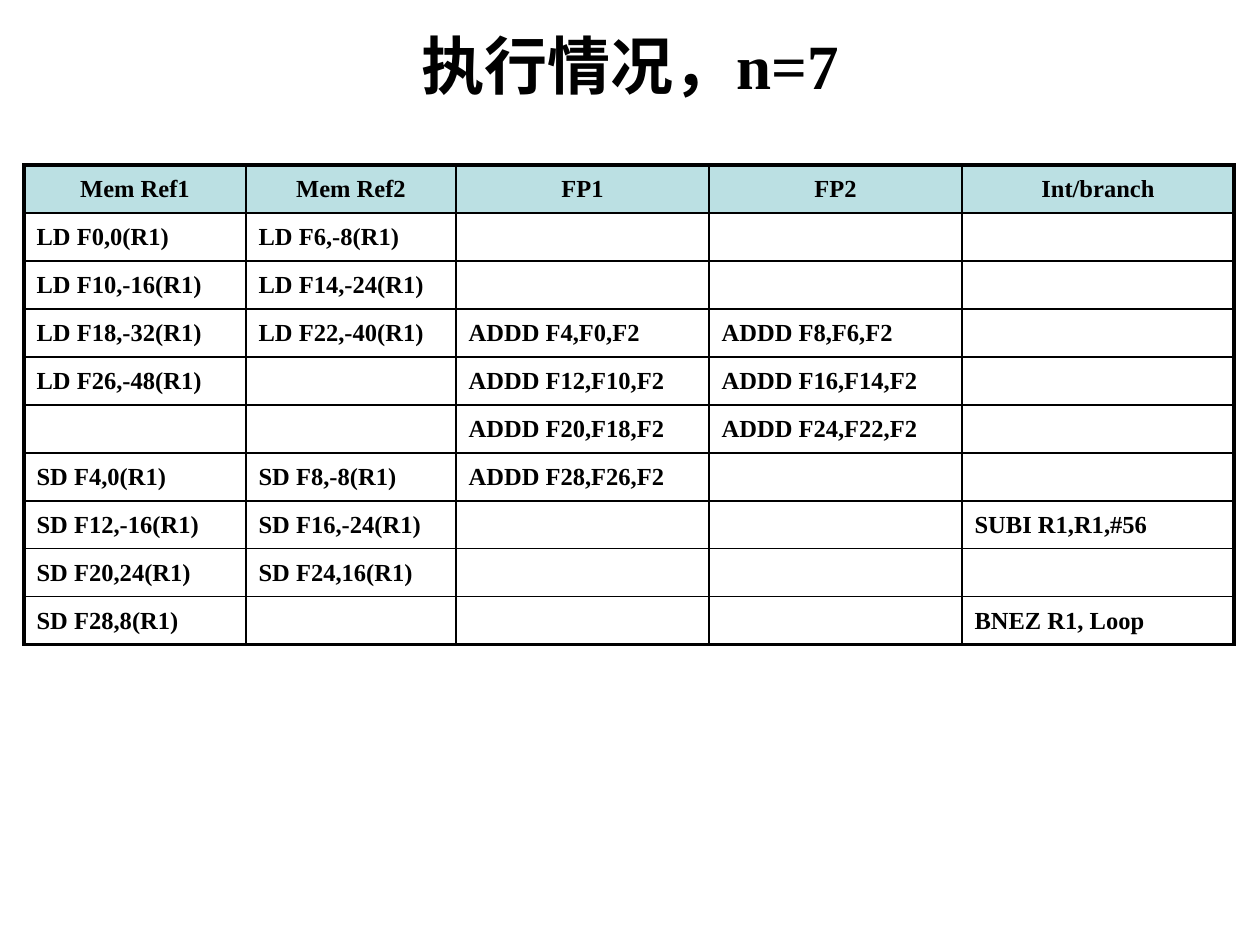
from lxml import etree
from pptx import Presentation
from pptx import util as u
from pptx.dml.color import RGBColor
from pptx.enum import text
from pptx.oxml.ns import qn

PX = 914400 // 126
FONT, BLACK, HEADER_FILL = "Times New Roman", "000000", "BBE0E3"
THIN, THICK = 1, 2.25
TITLE = "执行情况，n=7"
TITLE_AREA = (25, 6, 1211, 116)
TABLE_LEFT, TABLE_TOP, ROW_HEIGHT = 24, 165, 48
COLUMN_WIDTHS = [222, 210, 253, 253, 272]
SCHEDULE = [
    ("Mem Ref1", "Mem Ref2", "FP1", "FP2", "Int/branch"),
    ("LD F0,0(R1)", "LD F6,-8(R1)", "", "", ""),
    ("LD F10,-16(R1)", "LD F14,-24(R1)", "", "", ""),
    ("LD F18,-32(R1)", "LD F22,-40(R1)", "ADDD F4,F0,F2", "ADDD F8,F6,F2", ""),
    ("LD F26,-48(R1)", "", "ADDD F12,F10,F2", "ADDD F16,F14,F2", ""),
    ("", "", "ADDD F20,F18,F2", "ADDD F24,F22,F2", ""),
    ("SD F4,0(R1)", "SD F8,-8(R1)", "ADDD F28,F26,F2", "", ""),
    ("SD F12,-16(R1)", "SD F16,-24(R1)", "", "", "SUBI R1,R1,#56"),
    ("SD F20,24(R1)", "SD F24,16(R1)", "", "", ""),
    ("SD F28,8(R1)", "", "", "", "BNEZ R1, Loop"),
]


def color(value):
    return RGBColor.from_string(value)


def write(para, words, size, align):
    para.alignment = align
    if not words:
        para._p.get_or_add_endParaRPr().set("sz", str(size * 100))
        return
    span = para.add_run()
    span.text = words
    span.font.name, span.font.size, span.font.bold = FONT, u.Pt(size), True
    span.font.color.rgb = color(BLACK)


def add_border(cell, side, width):
    properties = cell._tc.get_or_add_tcPr()
    line = etree.SubElement(properties, qn(f"a:ln{side}"), w=str(u.Pt(width)))
    fill = etree.SubElement(line, qn("a:solidFill"))
    etree.SubElement(fill, qn("a:srgbClr"), val=BLACK)


def add_title(page):
    box = page.shapes.add_textbox(*(length * PX for length in TITLE_AREA))
    frame = box.text_frame
    frame.word_wrap = True
    frame.vertical_anchor = text.MSO_ANCHOR.MIDDLE
    write(frame.paragraphs[0], TITLE, 36, text.PP_ALIGN.CENTER)


def add_schedule(page):
    last_row, last_column = len(SCHEDULE) - 1, len(COLUMN_WIDTHS) - 1
    table = page.shapes.add_table(
        len(SCHEDULE), len(COLUMN_WIDTHS), TABLE_LEFT * PX, TABLE_TOP * PX,
        sum(COLUMN_WIDTHS) * PX, len(SCHEDULE) * ROW_HEIGHT * PX).table
    table.first_row = table.horz_banding = False
    for column, width in zip(table.columns, COLUMN_WIDTHS):
        column.width = width * PX
    for i, entries in enumerate(SCHEDULE):
        table.rows[i].height = ROW_HEIGHT * PX
        for j, words in enumerate(entries):
            cell = table.cell(i, j)
            cell.vertical_anchor = text.MSO_ANCHOR.MIDDLE
            outer = {"L": j == 0, "R": j == last_column, "T": i == 0, "B": i == last_row}
            for side, is_outer in outer.items():
                add_border(cell, side, THICK if is_outer else THIN)
            if i == 0:
                cell.fill.solid()
                cell.fill.fore_color.rgb = color(HEADER_FILL)
            else:
                cell.fill.background()
            align = text.PP_ALIGN.LEFT if i else text.PP_ALIGN.CENTER
            write(cell.text_frame.paragraphs[0], words, 14, align)


def main():
    """Build the execution schedule slide."""
    deck = Presentation()
    deck.slide_width, deck.slide_height = u.Inches(10), u.Inches(7.5)
    page = deck.slides.add_slide(deck.slide_layouts[6])
    add_title(page)
    add_schedule(page)
    deck.save("out.pptx")


if __name__ == "__main__":
    main()
